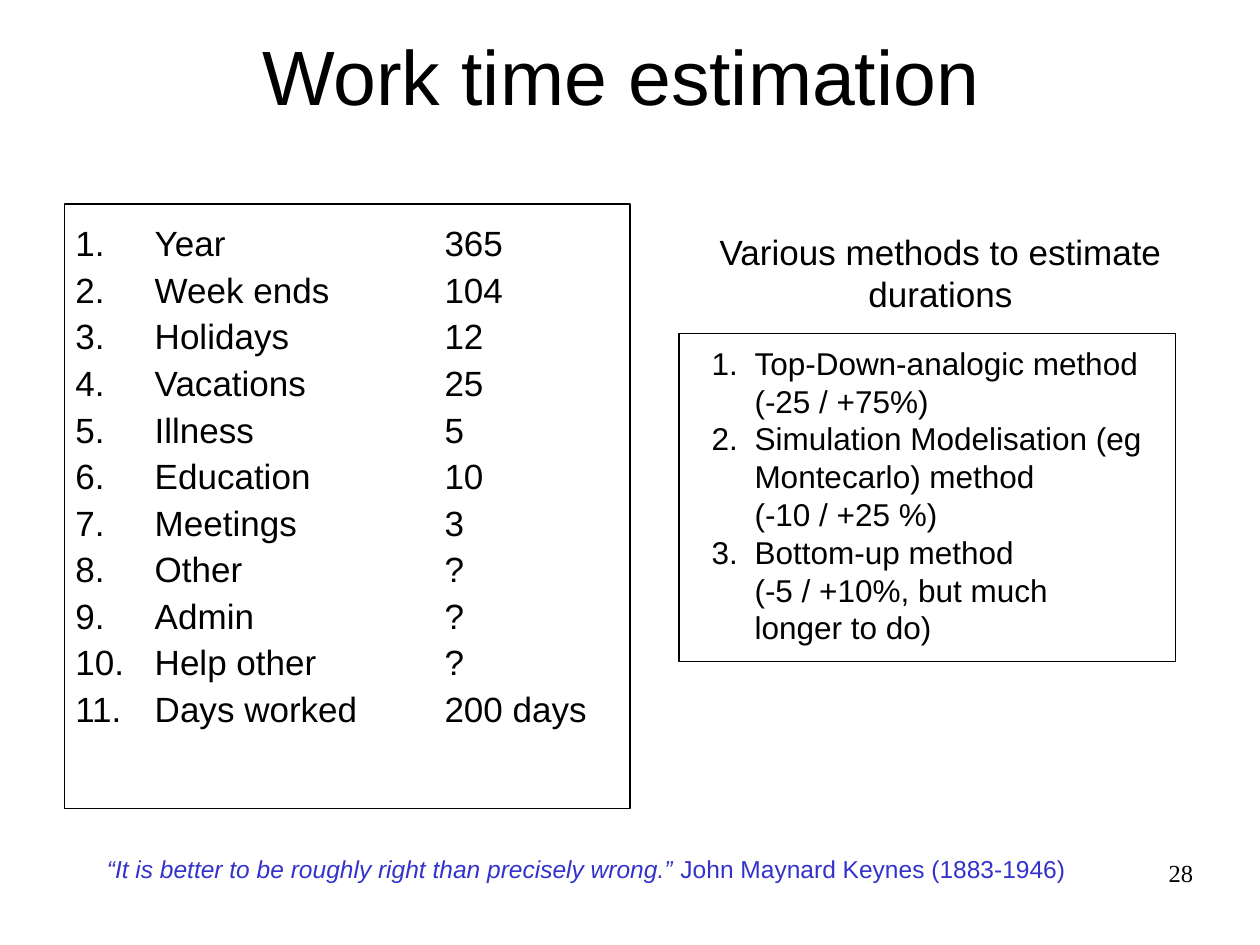
import pptx
import pptx.dml.color
import pptx.enum.shapes
import pptx.enum.text
import pptx.oxml.ns
import pptx.util
from lxml import etree

Inches = pptx.util.Inches
Pt = pptx.util.Pt
ALIGN = pptx.enum.text.PP_ALIGN
ANCHOR = pptx.enum.text.MSO_ANCHOR
BLACK = pptx.dml.color.RGBColor(0x00, 0x00, 0x00)
QUOTE_BLUE = pptx.dml.color.RGBColor(0x33, 0x33, 0xCC)

TIME_BUDGET = [
    ("Year", "365"),
    ("Week ends", "104"),
    ("Holidays", "12"),
    ("Vacations", "25"),
    ("Illness", "5"),
    ("Education", "10"),
    ("Meetings", "3"),
    ("Other", "?"),
    ("Admin", "?"),
    ("Help other", "?"),
    ("Days worked", "200 days"),
]
METHODS = [
    "Top-Down-analogic method (-25 / +75%)",
    "Simulation Modelisation (eg Montecarlo) method\t(-10 / +25 %)",
    "Bottom-up method\v(-5 / +10%, but much longer to do)",
]


def add_text_area(slide, left, top, width, height, margins=(0.1, 0.05), anchor=ANCHOR.TOP):
    """Add an empty wrapping text box and return its text frame."""
    area = slide.shapes.add_textbox(Inches(left), Inches(top), Inches(width), Inches(height))
    frame = area.text_frame
    frame.word_wrap = True
    frame.vertical_anchor = anchor
    frame.margin_left = frame.margin_right = Inches(margins[0])
    frame.margin_top = frame.margin_bottom = Inches(margins[1])
    return frame


def add_run(paragraph, text, size, color=BLACK, font="Arial", italic=False):
    """Append text to a paragraph, turning vertical tabs into line breaks."""
    for index, piece in enumerate(text.split("\v")):
        if index:
            paragraph.add_line_break()
        run = paragraph.add_run()
        run.text = piece
        run.font.size = Pt(size)
        run.font.name = font
        run.font.italic = italic
        run.font.color.rgb = color


def add_line(slide, area, text, size, align, spacing=1.0, font="Arial", **frame_options):
    """Add a text box holding one paragraph in one style."""
    paragraph = add_text_area(slide, *area, **frame_options).paragraphs[0]
    paragraph.alignment = align
    paragraph.line_spacing = spacing
    add_run(paragraph, text, size, font=font)


def number_paragraph(paragraph, indent, tab_stop):
    """Give a paragraph automatic numbering, a hanging indent and a tab stop."""
    qn = pptx.oxml.ns.qn
    properties = paragraph._p.get_or_add_pPr()
    properties.set("marL", str(Inches(indent)))
    properties.set("indent", str(-Inches(indent)))
    etree.SubElement(properties, qn("a:buFont"), typeface="Arial")
    etree.SubElement(properties, qn("a:buAutoNum"), type="arabicPeriod")
    tabs = etree.SubElement(properties, qn("a:tabLst"))
    etree.SubElement(tabs, qn("a:tab"), pos=str(Inches(tab_stop)), algn="l")


def add_numbered_list(slide, area, items, size, indent, tab_stop, spacing=1.0, gap=0):
    """Add a text box with one numbered paragraph per item."""
    frame = add_text_area(slide, *area)
    for index, item in enumerate(items):
        paragraph = frame.add_paragraph() if index else frame.paragraphs[0]
        number_paragraph(paragraph, indent, tab_stop)
        paragraph.line_spacing = spacing
        if index:
            paragraph.space_before = Pt(gap)
        add_run(paragraph, item, size)


def add_border(slide, left, top, width, height):
    """Add an unfilled rectangle with a thin black outline."""
    border = slide.shapes.add_shape(
        pptx.enum.shapes.MSO_SHAPE.RECTANGLE,
        Inches(left), Inches(top), Inches(width), Inches(height))
    border.shadow.inherit = False
    border.fill.background()
    border.line.color.rgb = BLACK
    border.line.width = Pt(0.75)


def add_quote(slide):
    """Add the italic quotation followed by its author."""
    paragraph = add_text_area(slide, 0.75, 6.74, 7.95, 0.33).paragraphs[0]
    paragraph.line_spacing = 0.97
    add_run(paragraph, "“It is better to be roughly right than precisely wrong.” ",
            14, QUOTE_BLUE, italic=True)
    add_run(paragraph, "John Maynard Keynes (1883-1946)", 14, QUOTE_BLUE)


def main():
    """Build the work time estimation slide."""
    deck = pptx.Presentation()
    deck.slide_width, deck.slide_height = Inches(10), Inches(7.5)
    slide = deck.slides.add_slide(deck.slide_layouts[6])

    add_line(slide, (0.43, 0.21, 9, 0.83), "Work time estimation", 44,
             ALIGN.CENTER, 0.95, anchor=ANCHOR.MIDDLE)
    add_numbered_list(slide, (0.5, 1.75, 9, 4.46), ["\t".join(row) for row in TIME_BUDGET],
                      20, indent=0.63, tab_stop=2.93, spacing=0.9, gap=5)
    add_border(slide, 0.51, 1.62, 4.49, 4.8)
    add_line(slide, (5.55, 1.78, 3.83, 0.77), "Various methods to estimate durations",
             20, ALIGN.CENTER)
    add_numbered_list(slide, (5.55, 2.68, 3.62, 2.78), METHODS,
                      18, indent=0.34, tab_stop=2.84)
    add_border(slide, 5.39, 2.65, 3.94, 2.6)
    add_quote(slide)
    add_line(slide, (7.17, 6.83, 2.3, 0.49), "28", 14, ALIGN.RIGHT, 0.93,
             font="Times New Roman", margins=(0, 0))
    deck.save("out.pptx")


if __name__ == "__main__":
    main()
